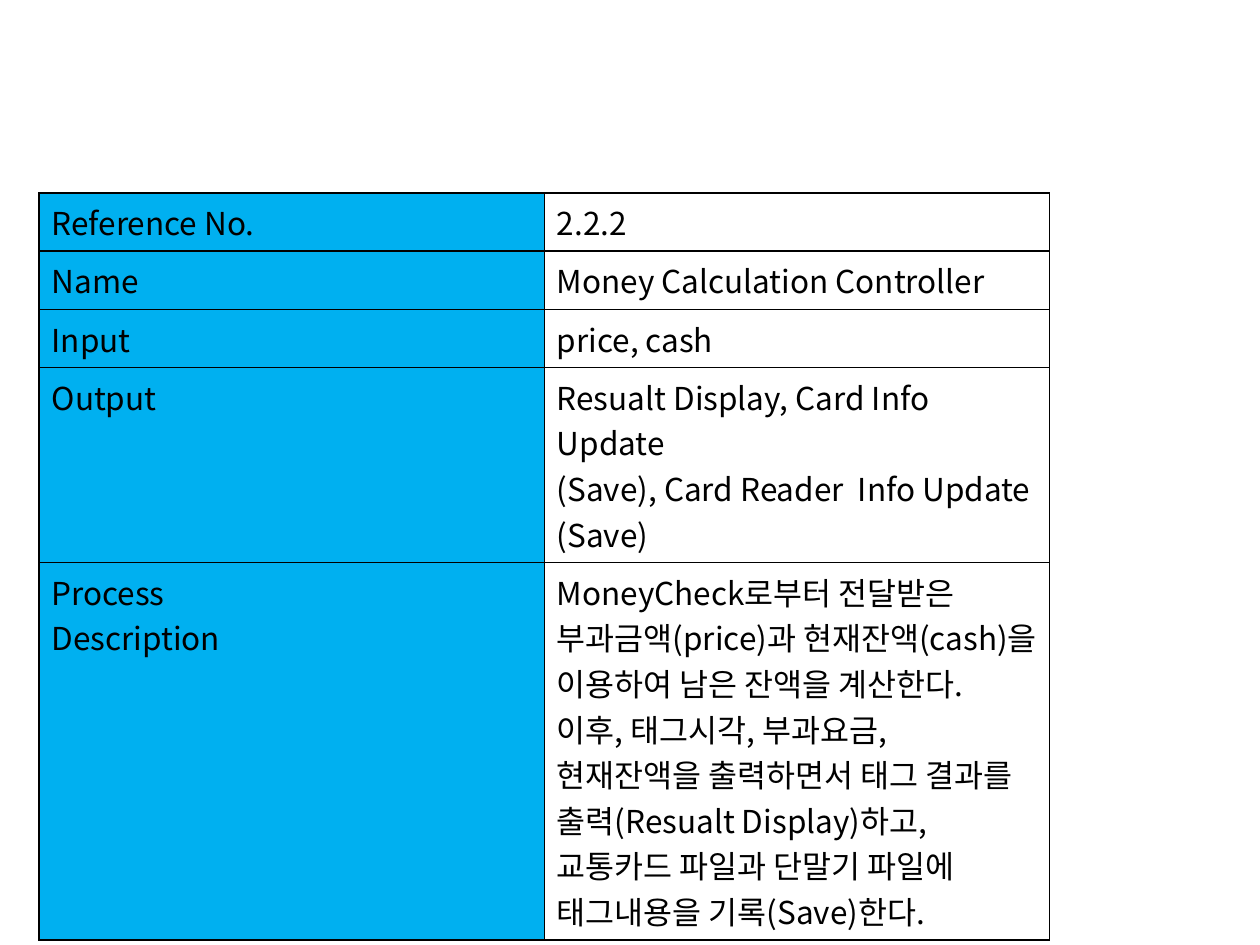
from dataclasses import dataclass

from lxml.etree import SubElement
from pptx import Presentation
from pptx.dml.color import RGBColor as RGB
from pptx.oxml.ns import qn
from pptx.util import Inches, Pt


@dataclass(frozen=True)
class Theme:
    font: str = "Noto Sans CJK KR"
    size: float = 18
    text: str = "000000"
    label_fill: str = "00B0F0"
    border: str = "000000"
    border_width: float = 1


THEME = Theme()
LEFT, TOP = 0.31, 1.53
COL_WIDTH, ROW_HEIGHT = 4.01, 0.41

ROWS = [
    (["Reference No."], ["2.2.2"]),
    (["Name"], ["Money Calculation Controller"]),
    (["Input"], ["price, cash"]),
    (["Output"], [
        "Resualt Display, Card Info Update",
        "(Save), Card Reader  Info Update",
        "(Save)",
    ]),
    (["Process", "Description"], [
        "MoneyCheck로부터 전달받은 부과금액(price)과 현재잔액(cash)을 이용하여 "
        "남은 잔액을 계산한다.",
        "이후, 태그시각, 부과요금, 현재잔액을 출력하면서 태그 결과를 "
        "출력(Resualt Display)하고, 교통카드 파일과 단말기 파일에 "
        "태그내용을 기록(Save)한다.",
    ]),
]


def write_text(tf, lines, *, size=THEME.size, color=THEME.text, font=THEME.font):
    for i, line in enumerate(lines):
        p = tf.paragraphs[0] if i == 0 else tf.add_paragraph()
        r = p.add_run()
        r.text = line
        r.font.size = Pt(size)
        r.font.bold = False
        r.font.color.rgb = RGB.from_string(color)
        r.font.name = font
        SubElement(r.font._element, qn("a:ea"), typeface=font)


def set_borders(cell):
    props = cell._tc.get_or_add_tcPr()
    for side in ("L", "R", "T", "B"):
        ln = SubElement(props, qn(f"a:ln{side}"), w=str(Pt(THEME.border_width)))
        fill = SubElement(ln, qn("a:solidFill"))
        SubElement(fill, qn("a:srgbClr"), val=THEME.border)


def format_cell(cell, lines, fill=None):
    set_borders(cell)
    if fill:
        cell.fill.solid()
        cell.fill.fore_color.rgb = RGB.from_string(fill)
    else:
        cell.fill.background()
    write_text(cell.text_frame, lines)


def add_process_table(s):
    table = s.shapes.add_table(
        len(ROWS), 2, Inches(LEFT), Inches(TOP),
        Inches(2 * COL_WIDTH), Inches(len(ROWS) * ROW_HEIGHT),
    ).table
    table.first_row = False
    table.horz_banding = False
    for i, (label, value) in enumerate(ROWS):
        format_cell(table.cell(i, 0), label, THEME.label_fill)
        format_cell(table.cell(i, 1), value)


def main():
    prs = Presentation()
    prs.slide_width, prs.slide_height = Inches(10), Inches(7.5)
    s = prs.slides.add_slide(prs.slide_layouts[6])
    add_process_table(s)
    prs.save("out.pptx")


if __name__ == "__main__":
    main()
